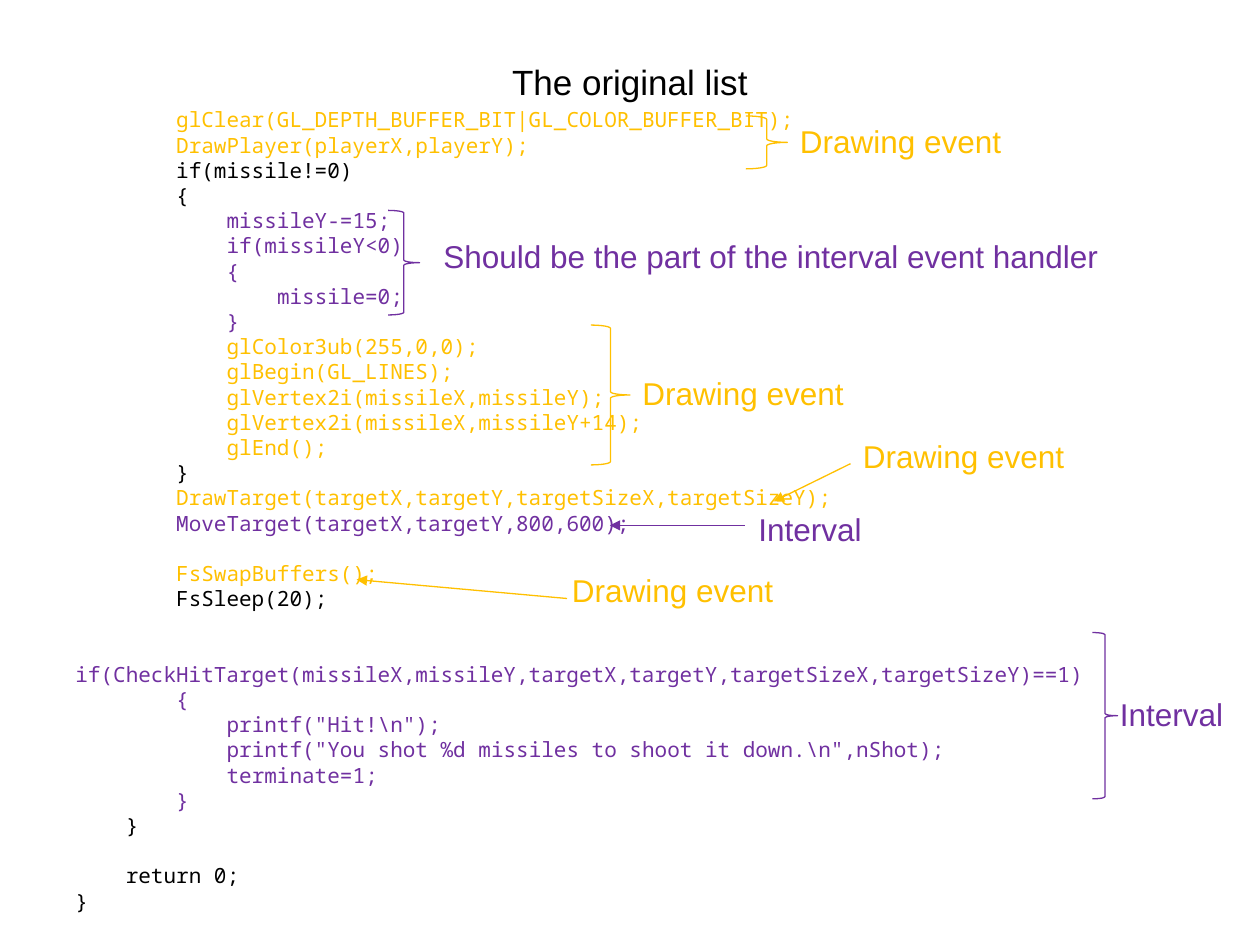
from dataclasses import dataclass

from lxml import etree
from pptx import Presentation, util as u
from pptx.dml.color import RGBColor
from pptx.enum import shapes, text
from pptx.oxml import ns


@dataclass(frozen=True)
class Theme:
    """Colours, fonts and sizes of the deck."""
    plain: str = "000000"
    drawing: str = "FFC000"
    interval: str = "7030A0"
    heading_font: str = "Arial"
    code_font: str = "Noto Sans Mono"
    title_size: float = 20
    label_size: float = 18
    code_size: float = 12
    code_pitch: float = 14.4
    line_width: float = 0.75


@dataclass(frozen=True)
class Box:
    """An area of the slide, divided into square cells."""
    left: int
    top: int
    width: int
    height: int
    cell: int

    def point(self, column, row):
        """Return the position of a grid point."""
        return self.left + int(column * self.cell), self.top + int(row * self.cell)

    def area(self, column, row, columns, rows):
        """Return the box that covers some of the cells."""
        return Box(*self.point(column, row), int(columns * self.cell),
                   int(rows * self.cell), self.cell)

    def frame(self):
        """Return left, top, width and height."""
        return self.left, self.top, self.width, self.height


THEME = Theme()
COLUMNS = 100
TITLE = "The original list"

CODE = [
    ("drawing", 8, 0, "glClear(GL_DEPTH_BUFFER_BIT|GL_COLOR_BUFFER_BIT);"),
    ("drawing", 8, 0, "DrawPlayer(playerX,playerY);"),
    ("plain", 8, 0, "if(missile!=0)"),
    ("plain", 8, 0, "{"),
    ("interval", 12, 0, "missileY-=15;"),
    ("interval", 12, 0, "if(missileY<0)"),
    ("interval", 12, 0, "{"),
    ("interval", 16, 0, "missile=0;"),
    ("interval", 12, 0, "}"),
    ("drawing", 12, 0, "glColor3ub(255,0,0);"),
    ("drawing", 12, 0, "glBegin(GL_LINES);"),
    ("drawing", 12, 0, "glVertex2i(missileX,missileY);"),
    ("drawing", 12, 0, "glVertex2i(missileX,missileY+14);"),
    ("drawing", 12, 0, "glEnd();"),
    ("plain", 8, 0, "}"),
    ("drawing", 8, 0, "DrawTarget(targetX,targetY,targetSizeX,targetSizeY);"),
    ("interval", 8, 0, "MoveTarget(targetX,targetY,800,600);"),
    ("drawing", 8, 1, "FsSwapBuffers();"),
    ("plain", 8, 0, "FsSleep(20);"),
    ("interval", 0, 2,
     "if(CheckHitTarget(missileX,missileY,targetX,targetY,targetSizeX,targetSizeY)==1)"),
    ("interval", 8, 0, "{"),
    ("interval", 12, 0, 'printf("Hit!\\n");'),
    ("interval", 12, 0, 'printf("You shot %d missiles to shoot it down.\\n",nShot);'),
    ("interval", 12, 0, "terminate=1;"),
    ("interval", 8, 0, "}"),
    ("plain", 4, 0, "}"),
    ("plain", 4, 1, "return 0;"),
    ("plain", 0, 0, "}"),
]

BRACES = [
    ("interval", (30.8, 16.7, 2.5, 8.3), "Should be the part of the interval event handler",
     (34.2, 18.3, 54.5, 4)),
    ("drawing", (59.2, 9.2, 3.3, 4.2), "Drawing event", (62.5, 9.2, 18.1, 4)),
    ("drawing", (46.9, 25.8, 3.1, 11.1), "Drawing event", (50, 29.2, 18.1, 4)),
    ("interval", (86.7, 50.2, 2, 13.2), "Interval", (87.9, 54.7, 10.3, 4)),
]

ARROWS = [
    ("drawing", (67.5, 36.8), (61.4, 39.8), "Drawing event", (67.5, 34.2, 18.1, 4)),
    ("interval", (59.1, 41.7), (48.4, 41.7), "Interval", (59.2, 40, 10.3, 4)),
    ("drawing", (45, 47.5), (28.3, 46), "Drawing event", (44.4, 44.8, 18.1, 4)),
]


def tone_colour(tone):
    """Return the theme colour of a tone."""
    return RGBColor.from_string(getattr(THEME, tone))


def style(para, font, size, tone):
    """Format every run of a paragraph."""
    for span in para.runs:
        span.font.name = font
        span.font.size = u.Pt(size)
        span.font.color.rgb = tone_colour(tone)


def stroke(line, tone):
    """Format an outline."""
    line.color.rgb = tone_colour(tone)
    line.width = u.Pt(THEME.line_width)


def add_title(page, box):
    """Place the centred heading."""
    frame = page.shapes.add_textbox(*box.frame()).text_frame
    frame.word_wrap = True
    frame.vertical_anchor = text.MSO_ANCHOR.MIDDLE
    frame.text = TITLE
    para = frame.paragraphs[0]
    para.alignment = text.PP_ALIGN.CENTER
    style(para, THEME.heading_font, THEME.title_size, "plain")


def add_listing(page, box):
    """Place the code, one paragraph a line, indented by characters."""
    frame = page.shapes.add_textbox(*box.frame()).text_frame
    frame.word_wrap = True
    frame.text = "\n".join(line for *_, line in CODE)
    for para, (tone, indent, gap, _) in zip(frame.paragraphs, CODE):
        properties = para._p.get_or_add_pPr()
        properties.set("marL", str(indent * box.cell))
        properties.set("indent", "0")
        para.space_before = u.Pt(gap * THEME.code_pitch)
        style(para, THEME.code_font, THEME.code_size, tone)


def add_label(page, box, label, tone):
    """Place the name of an event."""
    frame = page.shapes.add_textbox(*box.frame()).text_frame
    frame.word_wrap = False
    frame.text = label
    style(frame.paragraphs[0], THEME.heading_font, THEME.label_size, tone)


def add_brace(page, box, tone):
    """Place a brace beside a group of lines."""
    brace = page.shapes.add_shape(shapes.MSO_SHAPE.RIGHT_BRACE, *box.frame())
    brace.shadow.inherit = False
    brace.fill.background()
    stroke(brace.line, tone)


def add_arrow(page, start, end, tone):
    """Place an arrow that points at a line of code."""
    arrow = page.shapes.add_connector(shapes.MSO_CONNECTOR.STRAIGHT, *start, *end)
    stroke(arrow.line, tone)
    etree.SubElement(arrow.line._get_or_add_ln(), ns.qn("a:tailEnd"), type="triangle")
    etree.SubElement(arrow._element.spPr, ns.qn("a:effectLst"))


def add_notes_on_code(page, box):
    """Place the braces and arrows with their labels."""
    for tone, place, label, label_place in BRACES:
        add_brace(page, box.area(*place), tone)
        add_label(page, box.area(*label_place), label, tone)
    for tone, start, end, label, label_place in ARROWS:
        add_arrow(page, box.point(*start), box.point(*end), tone)
        add_label(page, box.area(*label_place), label, tone)


def main():
    """Build and save the deck."""
    deck = Presentation()
    deck.slide_width, deck.slide_height = u.Inches(10), u.Inches(7.5)
    page = deck.slides.add_slide(deck.slide_layouts[6])
    canvas = Box(0, 0, deck.slide_width, deck.slide_height, deck.slide_width // COLUMNS)
    add_title(page, canvas.area(5, 3, 90, 7))
    add_listing(page, canvas.area(5, 8, 83.8, 65.6))
    add_notes_on_code(page, canvas)
    deck.save("out.pptx")


if __name__ == "__main__":
    main()
